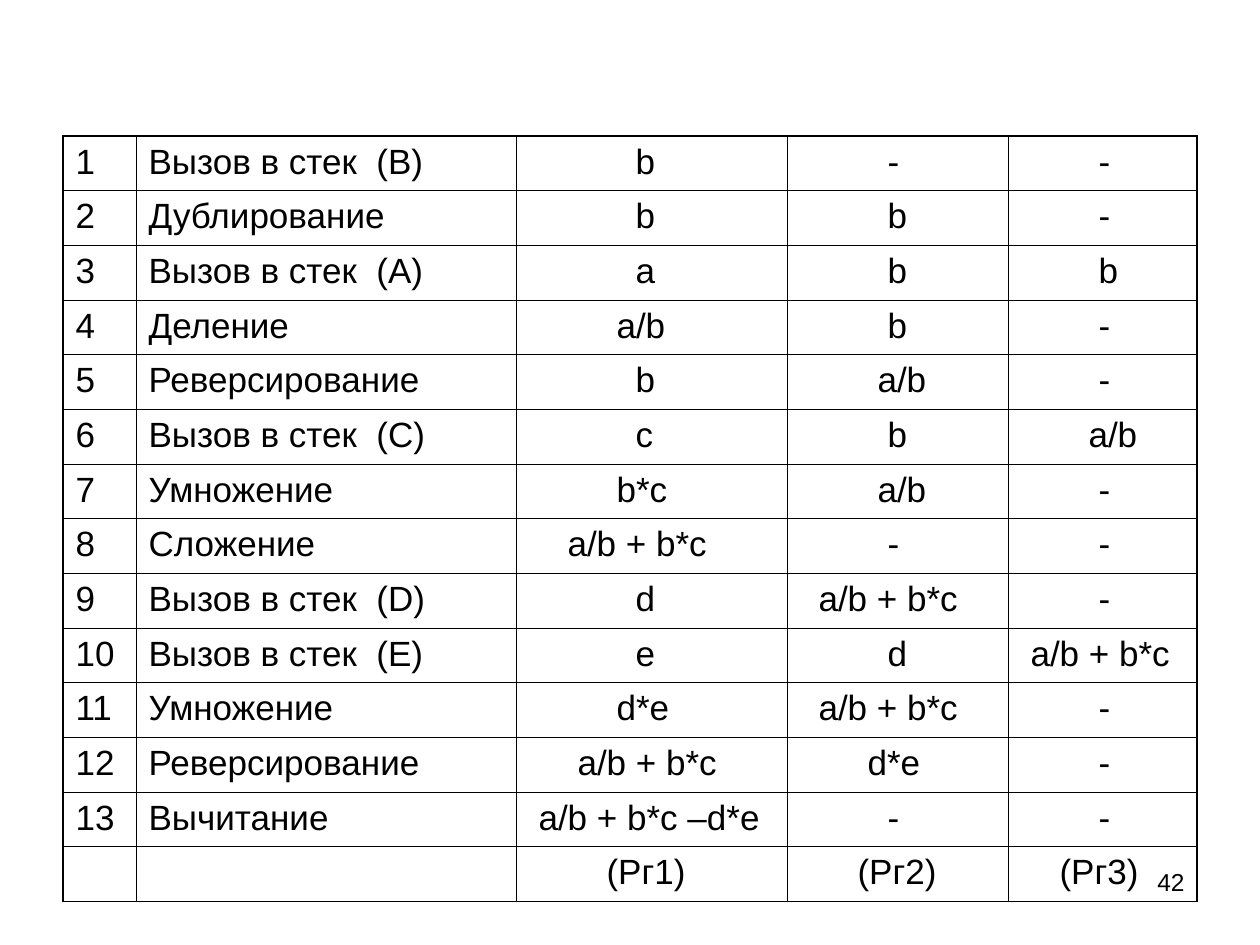
from dataclasses import dataclass
from typing import NamedTuple

import pptx
import pptx.dml.color
import pptx.enum.text
import pptx.oxml
import pptx.oxml.ns
import pptx.util

EMU_PER_PX = 914400 / 126


def px(n: int) -> pptx.util.Emu:
    return pptx.util.Emu(round(n * EMU_PER_PX))


@dataclass(frozen=True)
class Theme:
    font: str = "Arial"
    ink: str = "000000"
    cell_size: int = 20
    number_size: int = 14
    thin: float = 0.45
    thick: float = 1.08


class Entry(NamedTuple):
    text: str
    indent: int = 0


class Step(NamedTuple):
    number: str
    operation: str
    reg1: Entry
    reg2: Entry
    reg3: Entry


THEME = Theme()
LEFT, TOP, HEIGHT = 63, 136, 766
COLUMNS = (73, 380, 271, 221, 189)

# Contents that recur in each register column
SUM = "a/b + b*c"
B1, B2 = Entry("b", 107), Entry("b", 88)
QUOTIENT2, SUM2 = Entry("a/b", 78), Entry(SUM, 19)
NONE2, NONE3 = Entry("-", 88), Entry("-", 78)

STEPS = (
    Step("1", "Вызов в стек  (B)", B1, NONE2, NONE3),
    Step("2", "Дублирование", B1, B2, NONE3),
    Step("3", "Вызов в стек  (A)", Entry("a", 107), B2, Entry("b", 78)),
    Step("4", "Деление", Entry("a/b", 88), B2, NONE3),
    Step("5", "Реверсирование", B1, QUOTIENT2, NONE3),
    Step("6", "Вызов в стек  (C)", Entry("c", 107), B2, Entry("a/b", 68)),
    Step("7", "Умножение", Entry("b*c", 88), QUOTIENT2, NONE3),
    Step("8", "Сложение", Entry(SUM, 39), NONE2, NONE3),
    Step("9", "Вызов в стек  (D)", Entry("d", 107), SUM2, NONE3),
    Step("10", "Вызов в стек  (E)", Entry("e", 107), Entry("d", 88), Entry(SUM, 10)),
    Step("11", "Умножение", Entry("d*e", 88), SUM2, NONE3),
    Step("12", "Реверсирование", Entry(SUM, 49), Entry("d*e", 68), NONE3),
    Step("13", "Вычитание", Entry("a/b + b*c –d*e", 10), NONE2, NONE3),
    Step("", "", Entry("(Рг1)", 78), Entry("(Рг2)", 58), Entry("(Рг3)", 39)),
)


def set_text(p, text: str, size: int) -> None:
    p.text = text
    for r in p.runs:
        r.font.name = THEME.font
        r.font.size = pptx.util.Pt(size)
        r.font.color.rgb = pptx.dml.color.RGBColor.from_string(THEME.ink)


def set_border(cell, side: str, width: float) -> None:
    ns = pptx.oxml.ns.nsdecls("a")
    cell._tc.get_or_add_tcPr().append(pptx.oxml.parse_xml(
        f'<a:ln{side} {ns} w="{pptx.util.Pt(width)}"><a:solidFill>'
        f'<a:srgbClr val="{THEME.ink}"/></a:solidFill></a:ln{side}>'))


def fill_cell(cell, entry: Entry, outer: dict[str, bool]) -> None:
    cell.margin_left = cell.margin_right = pptx.util.Inches(0.1)
    cell.margin_top = cell.margin_bottom = pptx.util.Inches(0.05)
    p = cell.text_frame.paragraphs[0]
    set_text(p, entry.text, THEME.cell_size)
    if entry.indent:
        p._p.get_or_add_pPr().set("marL", str(px(entry.indent)))
    for side, is_outer in outer.items():
        set_border(cell, side, THEME.thick if is_outer else THEME.thin)
    cell.fill.background()


def add_page_number(slide, number: str) -> None:
    sp = slide.shapes.add_textbox(px(903), px(861), px(294), px(66))
    tf = sp.text_frame
    tf.word_wrap = True
    p = tf.paragraphs[0]
    set_text(p, number, THEME.number_size)
    p.alignment = pptx.enum.text.PP_ALIGN.RIGHT


def add_stack_table(slide, steps: tuple[Step, ...]) -> None:
    last_row, last_col = len(steps) - 1, len(COLUMNS) - 1
    table = slide.shapes.add_table(len(steps), len(COLUMNS), px(LEFT), px(TOP),
                                   px(sum(COLUMNS)), px(HEIGHT)).table
    table.first_row = table.horz_banding = False
    for column, width in zip(table.columns, COLUMNS):
        column.width = px(width)
    for i, step in enumerate(steps):
        entries = (Entry(step.number), Entry(step.operation), *step[2:])
        for j, entry in enumerate(entries):
            outer = {"L": j == 0, "R": j == last_col, "T": i == 0, "B": i == last_row}
            fill_cell(table.cell(i, j), entry, outer)


def main() -> None:
    prs = pptx.Presentation()
    prs.slide_width, prs.slide_height = px(1260), px(945)
    slide = prs.slides.add_slide(prs.slide_layouts[6])

    # Page number lies beneath the table
    add_page_number(slide, "42")

    # Stack contents after each operation
    add_stack_table(slide, STEPS)

    prs.save("out.pptx")


if __name__ == "__main__":
    main()
